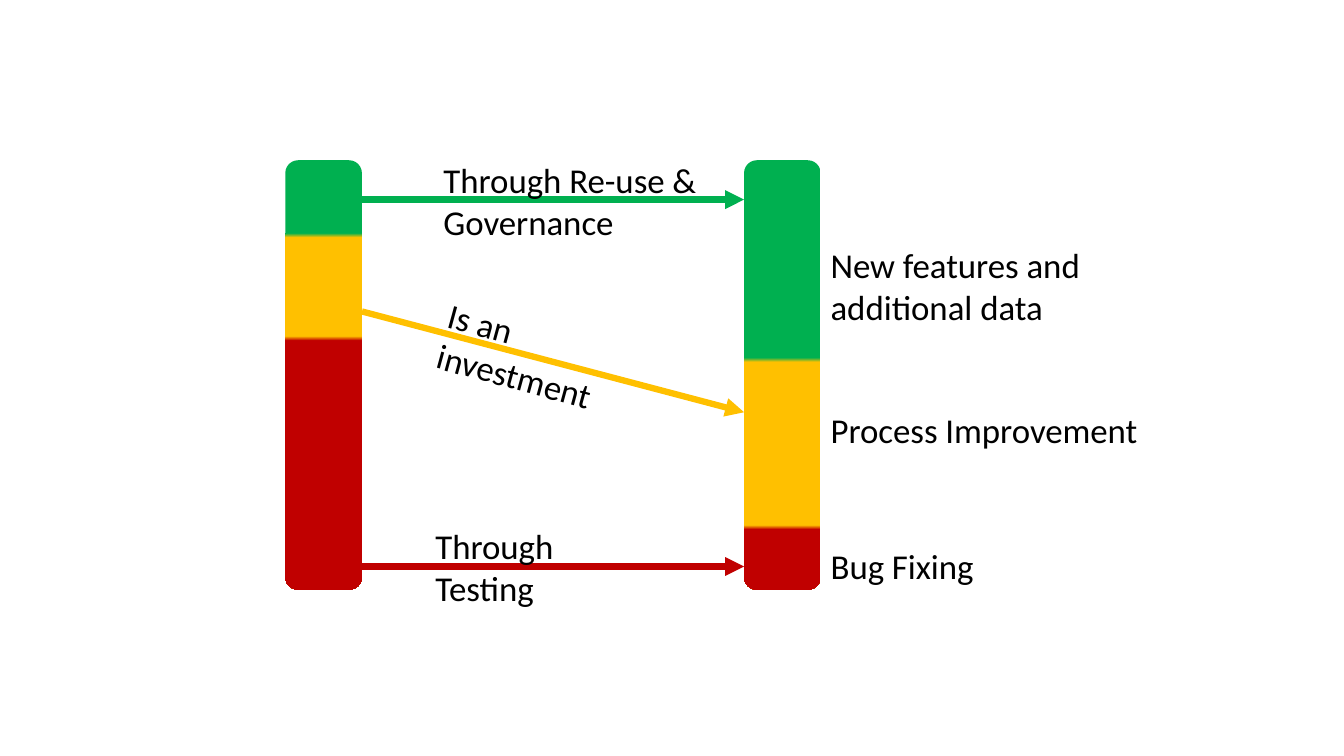
import pptx
import pptx.dml.color
import pptx.enum.shapes
import pptx.enum.text
import pptx.oxml.ns
import pptx.util
from lxml import etree

RGB = pptx.dml.color.RGBColor
GREEN = RGB(0x00, 0xB0, 0x50)
AMBER = RGB(0xFF, 0xC0, 0x00)
RED = RGB(0xC0, 0x00, 0x00)
BLACK = RGB(0x00, 0x00, 0x00)

WIDE, HIGH = 13.33, 7.5
BAR_TOP, BAR_WIDE, BAR_HIGH = 1.59, 0.76, 4.26
OLD_BAR, NEW_BAR = 2.83, 7.38
OLD_EDGE = OLD_BAR + BAR_WIDE
NOTE_LEFT = NEW_BAR + BAR_WIDE
NOTE_WIDE = 3.67

inch = pptx.util.Inches
qn = pptx.oxml.ns.qn


def add_bar(slide, left, cuts):
    """Draw a bar of three colour bands, cut at two percentages."""
    kind = pptx.enum.shapes.MSO_SHAPE.ROUNDED_RECTANGLE
    bar = slide.shapes.add_shape(
        kind, inch(left), inch(BAR_TOP), inch(BAR_WIDE), inch(BAR_HIGH))
    bar.shadow.inherit = False
    bar.line.fill.background()
    bar.fill.gradient()
    bar.fill.gradient_angle = 270
    stops = bar._element.spPr.find(".//" + qn("a:gsLst"))
    for stop in list(stops):
        stops.remove(stop)
    starts = [0] + [cut + 1 for cut in cuts]
    ends = [*cuts, 100]
    for color, *band in zip((GREEN, AMBER, RED), starts, ends):
        for share in band:
            stop = etree.SubElement(stops, qn("a:gs"), pos=str(share * 1000))
            etree.SubElement(stop, qn("a:srgbClr"), val=str(color))


def add_arrow(slide, start, end, color):
    """Draw an arrow between the bars, from height start to height end."""
    kind = pptx.enum.shapes.MSO_CONNECTOR.STRAIGHT
    arrow = slide.shapes.add_connector(
        kind, inch(OLD_EDGE), inch(start), inch(NEW_BAR), inch(end))
    arrow.line.color.rgb = color
    arrow.line.width = pptx.util.Pt(4.5)
    etree.SubElement(arrow.line._get_or_add_ln(), qn("a:tailEnd"), type="triangle")
    etree.SubElement(arrow._element.spPr, qn("a:effectLst"))


def add_text(slide, text, left, top, wide=NOTE_WIDE, high=0.45, turn=0,
             size=24.9, color=BLACK):
    box = slide.shapes.add_textbox(inch(left), inch(top), inch(wide), inch(high))
    box.rotation = turn
    frame = box.text_frame
    frame.word_wrap = True
    frame.auto_size = pptx.enum.text.MSO_AUTO_SIZE.SHAPE_TO_FIT_TEXT
    para = frame.paragraphs[0]
    para.space_after = pptx.util.Pt(8)
    run = para.add_run()
    run.text = text
    run.font.name = "Calibri"
    run.font.size = pptx.util.Pt(size)
    run.font.color.rgb = color


def main():
    deck = pptx.Presentation()
    deck.slide_width, deck.slide_height = inch(WIDE), inch(HIGH)
    slide = deck.slides.add_slide(deck.slide_layouts[6])

    add_bar(slide, NEW_BAR, (46, 85))
    add_bar(slide, OLD_BAR, (17, 41))

    add_arrow(slide, 1.98, 1.98, GREEN)
    add_arrow(slide, 5.62, 5.62, RED)
    add_arrow(slide, 3.09, 4.09, AMBER)

    add_text(slide, "Through Re-use & Governance", 4.3, 1.53, high=0.76)
    add_text(slide, "Is an investment", 4.33, 3.14, wide=2.31, turn=15.3)
    add_text(slide, "Through Testing", 4.22, 5.16, wide=2.36)

    notes = (
        ("New features and additional data", 2.37, 0.97),
        ("Process Improvement", 4, 0.68),
        ("Bug Fixing", 5.35, 0.39),
    )
    for text, top, high in notes:
        add_text(slide, text, NOTE_LEFT, top, high=high)

    deck.save("out.pptx")


if __name__ == "__main__":
    main()
